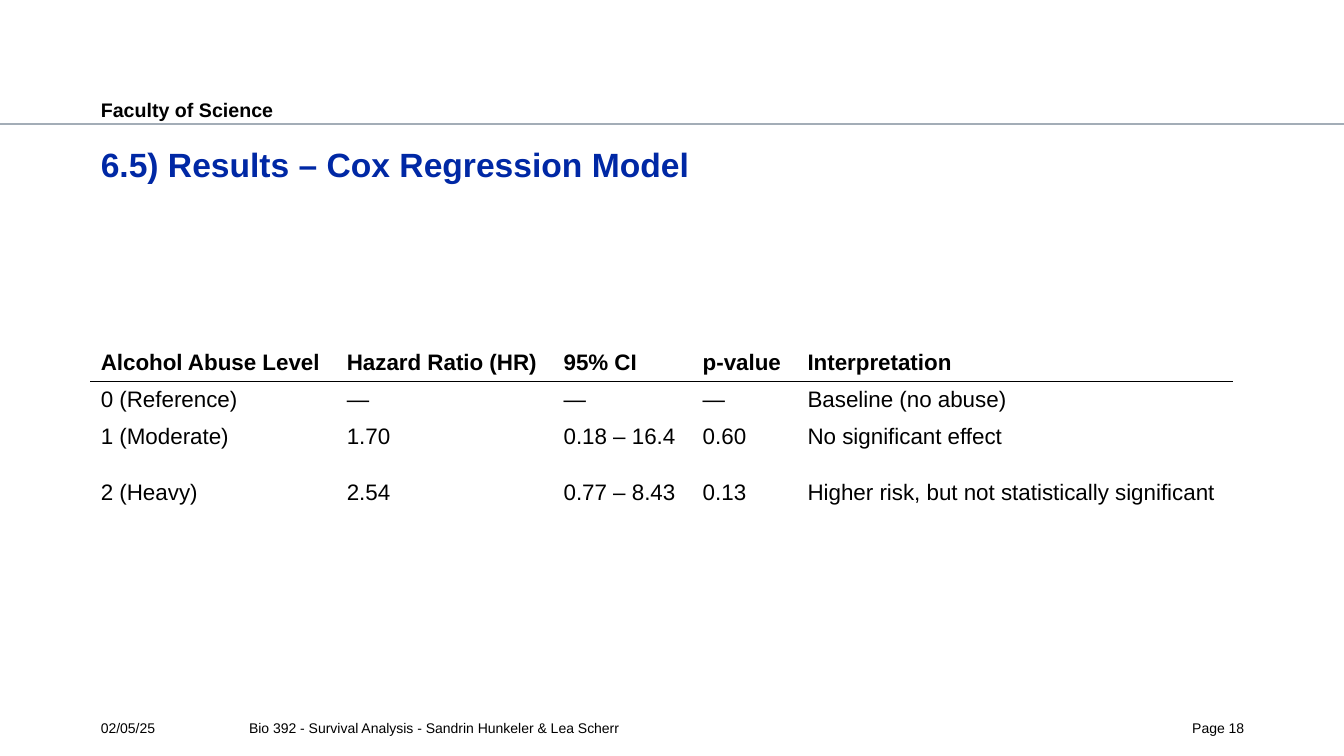
from dataclasses import dataclass

from lxml.etree import SubElement
from pptx import Presentation
from pptx.dml.color import RGBColor
from pptx.enum.shapes import MSO_CONNECTOR
from pptx.enum.text import MSO_ANCHOR, PP_ALIGN
from pptx.oxml import parse_xml
from pptx.oxml.ns import nsdecls, qn
from pptx.slide import Slide
from pptx.table import _Cell
from pptx.text.text import _Paragraph
from pptx.util import Inches, Pt

BLACK = RGBColor(0x00, 0x00, 0x00)
TITLE_BLUE = RGBColor(0x00, 0x28, 0xA5)
RULE_GREY = RGBColor(0xA3, 0xAD, 0xB7)
FONT = "Arial"
PAGE_WIDTH, PAGE_HEIGHT = 13.33, 7.5


@dataclass(frozen=True)
class Label:
    text: str
    left: float
    top: float
    width: float
    height: float
    size: int = 10
    bold: bool = False
    color: RGBColor = BLACK
    inset_top: float = 0
    align: PP_ALIGN = PP_ALIGN.LEFT


LABELS = [
    Label("Faculty of Science", 1, 0.93, 8.02, 0.25, 14, True, inset_top=0.04),
    Label("6.5) Results – Cox Regression Model", 1, 1.39, 11.34, 0.87, 24, True,
          TITLE_BLUE, inset_top=0.04),
    Label("02/05/25", 1, 7.14, 1.36, 0.24),
    Label("Bio 392 - Survival Analysis - Sandrin Hunkeler & Lea Scherr",
          2.47, 7.14, 7.66, 0.24),
    Label("Page 18", 11.43, 7.14, 0.91, 0.24, align=PP_ALIGN.RIGHT),
]

COLUMN_WIDTHS = [2.44, 2.15, 1.38, 1.04, 4.31]
ROW_HEIGHTS = [0.3, 0.3, 0.3, 0.73]
COX_RESULTS = [
    ["Alcohol Abuse Level", "Hazard Ratio (HR)", "95% CI", "p-value", "Interpretation"],
    ["0 (Reference)", "—", "—", "—", "Baseline (no abuse)"],
    ["1 (Moderate)", "1.70", "0.18 – 16.4", "0.60", "No significant effect"],
    ["2 (Heavy)", "2.54", "0.77 – 8.43", "0.13",
     "Higher risk, but not statistically significant"],
]


def style_paragraph(para: _Paragraph, size: int, bold: bool, color: RGBColor) -> None:
    para.font.name = FONT
    para.font.size = Pt(size)
    para.font.bold = bold
    para.font.color.rgb = color


def add_label(page: Slide, label: Label) -> None:
    box = page.shapes.add_textbox(Inches(label.left), Inches(label.top),
                                  Inches(label.width), Inches(label.height))
    frame = box.text_frame
    frame.word_wrap = True
    frame.margin_left = frame.margin_right = frame.margin_bottom = 0
    frame.margin_top = Inches(label.inset_top)
    para = frame.paragraphs[0]
    para.text = label.text
    para.alignment = label.align
    style_paragraph(para, label.size, label.bold, label.color)


def add_header_rule(page: Slide) -> None:
    rule = page.shapes.add_connector(MSO_CONNECTOR.STRAIGHT, 0, Inches(1.23),
                                     Inches(PAGE_WIDTH), Inches(1.23))
    rule.line.color.rgb = RULE_GREY
    rule.line.width = Pt(1.25)
    SubElement(rule._element.spPr, qn("a:effectLst"))


def add_border(cell: _Cell, side: str) -> None:
    """Draw a one-point black border on side "T" (top) or "B" (bottom)."""
    border = parse_xml(
        f'<a:ln{side} {nsdecls("a")} w="{Pt(1)}"><a:solidFill>'
        f'<a:srgbClr val="{BLACK}"/></a:solidFill></a:ln{side}>')
    cell._tc.get_or_add_tcPr().insert(0, border)


def add_results_table(page: Slide) -> None:
    table = page.shapes.add_table(
        len(ROW_HEIGHTS), len(COLUMN_WIDTHS), Inches(0.9), Inches(3.42),
        Inches(sum(COLUMN_WIDTHS)), Inches(sum(ROW_HEIGHTS))).table
    table.first_row = table.horz_banding = False
    for column, width in zip(table.columns, COLUMN_WIDTHS):
        column.width = Inches(width)
    for row, height in zip(table.rows, ROW_HEIGHTS):
        row.height = Inches(height)
    for row_index, values in enumerate(COX_RESULTS):
        for column_index, value in enumerate(values):
            cell = table.cell(row_index, column_index)
            cell.text = value
            cell.vertical_anchor = MSO_ANCHOR.MIDDLE
            cell.fill.background()
            style_paragraph(cell.text_frame.paragraphs[0], 16, row_index == 0, BLACK)
            if row_index < 2:
                add_border(cell, "B" if row_index == 0 else "T")


def main() -> None:
    deck = Presentation()
    deck.slide_width = Inches(PAGE_WIDTH)
    deck.slide_height = Inches(PAGE_HEIGHT)
    page = deck.slides.add_slide(deck.slide_layouts[6])
    add_header_rule(page)
    for label in LABELS:
        add_label(page, label)
    add_results_table(page)
    deck.save("out.pptx")


if __name__ == "__main__":
    main()
